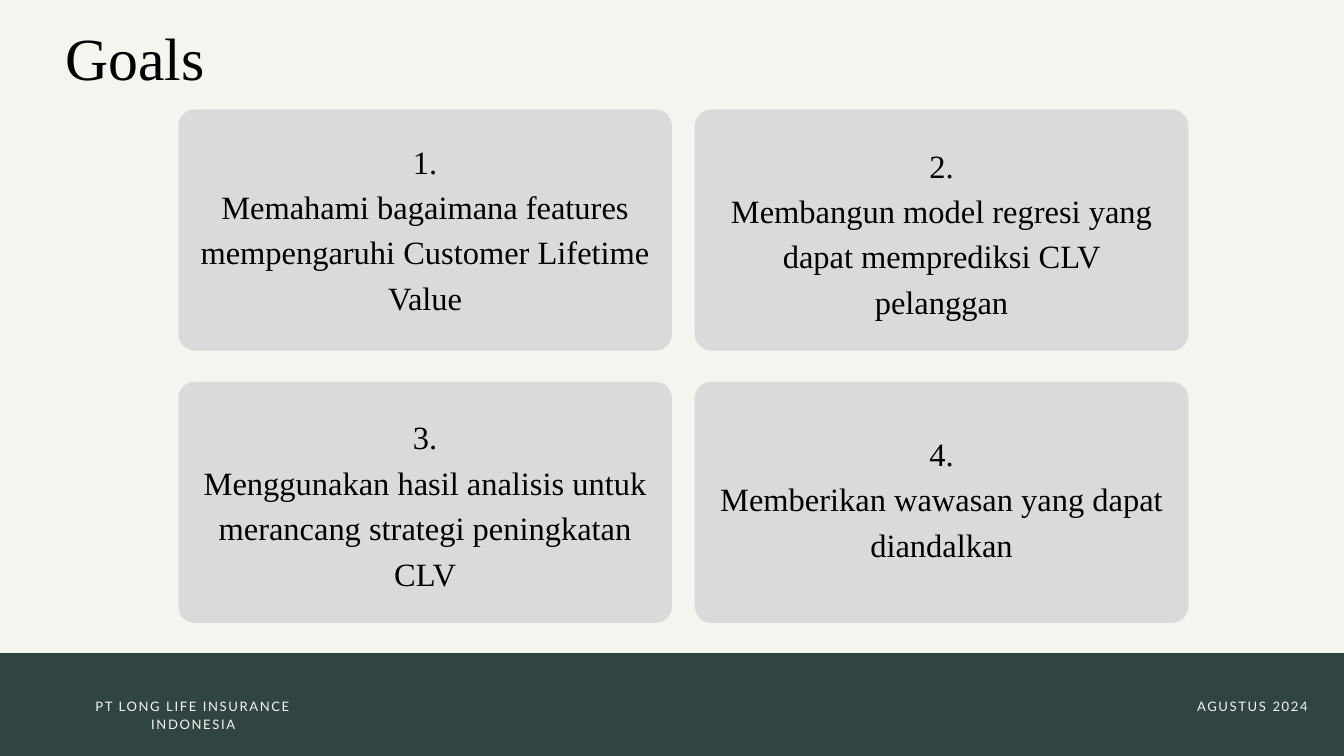
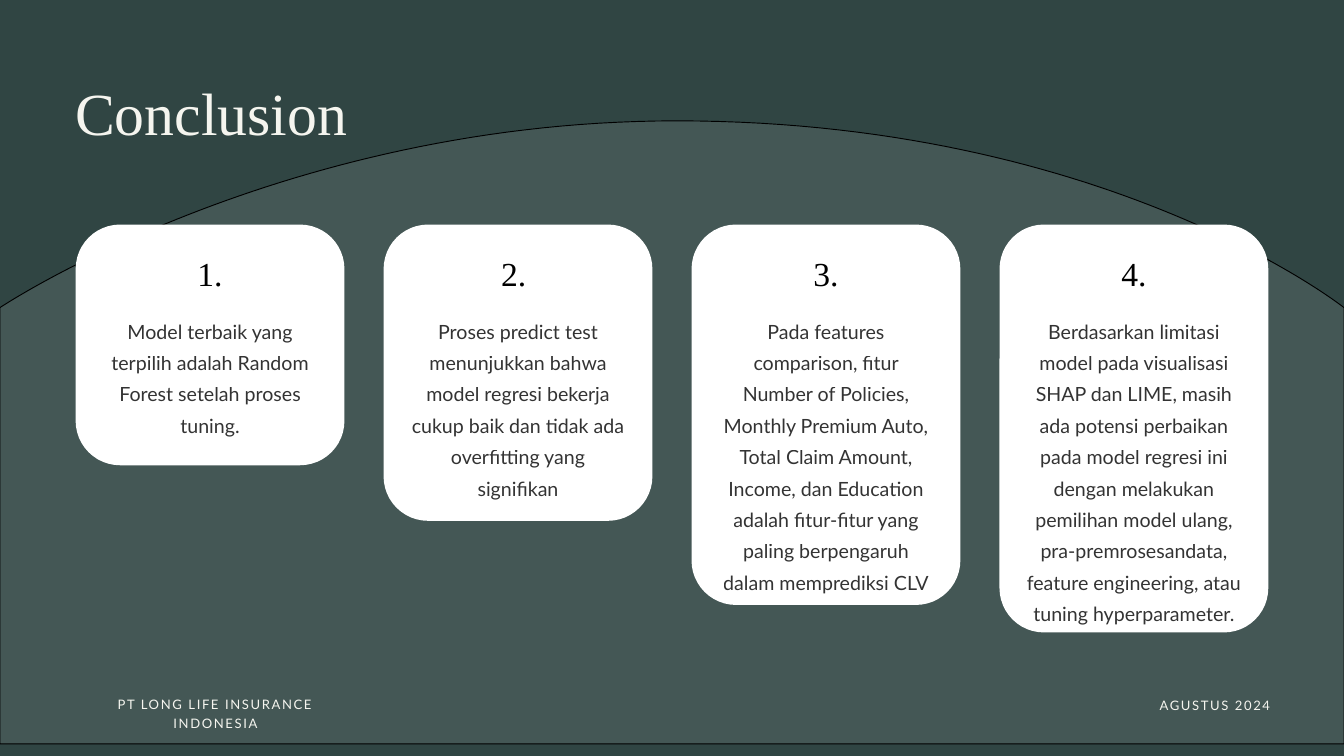
from lxml import etree
from pptx import Presentation
from pptx import util as u
from pptx.dml.color import RGBColor
from pptx.enum import shapes, text
from pptx.oxml import ns

SLIDE_W, SLIDE_H = 50.8, 28.58
DARK, CREAM, GREY = "304543", "F5F5EF", "DBDADA"
WHITE, HAZE, BLACK = "FFFFFF", "FAFAFA", "000000"
SERIF, SANS = "Times New Roman", "Lato"

# number and wording, text top inside the card, text height
GOALS = [
    (["1.", "Memahami bagaimana features mempengaruhi Customer Lifetime Value"], 0.97, 6.7),
    (["2.", "Membangun model regresi yang dapat memprediksi CLV pelanggan"], 1.12, 6.7),
    (["3.", "Menggunakan hasil analisis untuk merancang strategi peningkatan CLV"], 1.1, 6.7),
    (["4.", "Memberikan wawasan yang dapat diandalkan"], 1.73, 5.03),
]

# number, wording, card height
CONCLUSIONS = [
    ("1.", "Model terbaik yang terpilih adalah Random Forest setelah proses tuning.", 9.1),
    ("2. ", "Proses predict test menunjukkan bahwa model regresi bekerja cukup baik "
     "dan tidak ada overfitting yang signifikan", 11.2),
    ("3.", "Pada features comparison, fitur Number of Policies, Monthly Premium Auto, "
     "Total Claim Amount, Income, dan Education adalah fitur-fitur yang paling "
     "berpengaruh dalam memprediksi CLV", 14.38),
    ("4.", "Berdasarkan limitasi model pada visualisasi SHAP dan LIME, masih ada potensi "
     "perbaikan pada model regresi ini dengan melakukan pemilihan model ulang, "
     "pra-premrosesandata, feature engineering, atau tuning hyperparameter.", 15.42),
]


def paint(fill, color, opacity=100):
    fill.solid()
    fill.fore_color.rgb = RGBColor.from_string(color)
    if opacity < 100:
        for srgb in fill._xPr.iter(ns.qn("a:srgbClr")):
            etree.SubElement(srgb, ns.qn("a:alpha")).set("val", str(opacity * 1000))


def add_slide(prs, background):
    slide = prs.slides.add_slide(prs.slide_layouts[6])
    paint(slide.background.fill, background)
    return slide


def add_panel(slide, left, top, width, height, color, radius=0):
    kind = shapes.MSO_SHAPE.ROUNDED_RECTANGLE if radius else shapes.MSO_SHAPE.RECTANGLE
    panel = slide.shapes.add_shape(kind, *map(u.Cm, (left, top, width, height)))
    if radius:
        panel.adjustments[0] = radius / min(width, height)
    panel.shadow.inherit = False
    paint(panel.fill, color)
    panel.line.fill.background()


def add_text(slide, left, top, width, height, lines, size, leading, font=SERIF,
             color=BLACK, align="CENTER", opacity=100, tracking=0):
    """Place one paragraph per line; leading and tracking are in points."""
    box = slide.shapes.add_textbox(*map(u.Cm, (left, top, width, height)))
    frame = box.text_frame
    frame.word_wrap = True
    frame.auto_size = text.MSO_AUTO_SIZE.SHAPE_TO_FIT_TEXT
    frame.margin_left = frame.margin_right = frame.margin_top = frame.margin_bottom = 0
    for index, line in enumerate(lines):
        paragraph = frame.add_paragraph() if index else frame.paragraphs[0]
        paragraph.alignment = text.PP_ALIGN[align]
        paragraph.line_spacing = u.Pt(leading)
        run = paragraph.add_run()
        run.text = line
        run.font.size = u.Pt(size)
        run.font.name = font
        paint(run.font.fill, color, opacity)
        if tracking:
            run._r.get_or_add_rPr().set("spc", str(round(tracking * 100)))


def add_title(slide, left, top, title, color, leading):
    add_text(slide, left, top, 28, 2.8, [title], 64, leading, color=color, align="LEFT")


def add_footer(slide, company_left, company_top, date_right, date_top):
    style = dict(size=14, leading=19.6, font=SANS, color=CREAM, tracking=1.7)
    add_text(slide, company_left, company_top, 10.49, 0.66,
             ["PT LONG LIFE INSURANCE INDONESIA"], **style)
    add_text(slide, date_right - 5.77, date_top, 5.77, 0.66,
             ["AGUSTUS 2024"], align="RIGHT", **style)


def curve_points(start, control_1, control_2, end, steps=60):
    """Points along a cubic Bezier curve, without its start."""
    for step in range(1, steps + 1):
        t = step / steps
        weights = ((1 - t) ** 3, 3 * t * (1 - t) ** 2, 3 * t * t * (1 - t), t ** 3)
        yield tuple(u.Cm(sum(w * p[axis] for w, p in zip(weights, (start, control_1, control_2, end))))
                    for axis in (0, 1))


def add_dome(slide):
    left, right, bottom = 0, SLIDE_W, 28.12
    left_foot, crown, right_foot = (left, 11.63), (25.58, 4.57), (right, 11.63)
    builder = slide.shapes.build_freeform(u.Cm(left), u.Cm(bottom))
    builder.add_line_segments([
        tuple(map(u.Cm, left_foot)),
        *curve_points(left_foot, left_foot, (10.57, 4.57), crown),
        *curve_points(crown, (41.91, 4.57), right_foot, right_foot),
        (u.Cm(right), u.Cm(bottom)),
    ], close=True)
    dome = builder.convert_to_shape()
    dome.shadow.inherit = False
    paint(dome.fill, HAZE, 10)
    paint(dome.line.fill, BLACK)
    dome.line.width = u.Pt(1)


def build_goals(prs):
    slide = add_slide(prs, CREAM)
    band_top = 24.69
    add_panel(slide, 0, band_top, SLIDE_W, SLIDE_H - band_top, DARK)
    add_title(slide, 2.46, 0.33, "Goals", BLACK, 89.6)
    card_w, card_h, text_w = 18.66, 9.12, 17.02
    for index, (lines, text_top, text_h) in enumerate(GOALS):
        row, column = divmod(index, 2)
        left, top = 6.74 + column * 19.52, 4.14 + row * 10.29
        add_panel(slide, left, top, card_w, card_h, GREY, radius=0.63)
        add_text(slide, left + (card_w - text_w) / 2, top + text_top, text_w, text_h,
                 lines, 34.8, 48.7)
    add_footer(slide, 2.06, 26.29, 49.43, 26.29)


def build_conclusion(prs):
    slide = add_slide(prs, DARK)
    add_dome(slide)
    add_title(slide, 2.84, 2.84, "Conclusion", CREAM, 77.4)
    add_footer(slide, 2.9, 26.24, 48.01, 26.26)
    card_top, card_w, text_w = 8.49, 10.16, 8.13
    for index, (number, finding, card_h) in enumerate(CONCLUSIONS):
        left = 2.86 + index * 11.64
        text_left = left + (card_w - text_w) / 2
        add_panel(slide, left, card_top, card_w, card_h, WHITE, radius=1.68)
        add_text(slide, text_left, card_top + 1.06, text_w, 1.5, [number], 36, 43.2)
        add_text(slide, text_left, card_top + 3.3, text_w, card_h - 5, [finding], 21, 33.6,
                 font=SANS, opacity=80)


def main():
    prs = Presentation()
    prs.slide_width, prs.slide_height = u.Cm(SLIDE_W), u.Cm(SLIDE_H)
    build_goals(prs)
    build_conclusion(prs)
    prs.save("out.pptx")


if __name__ == "__main__":
    main()
